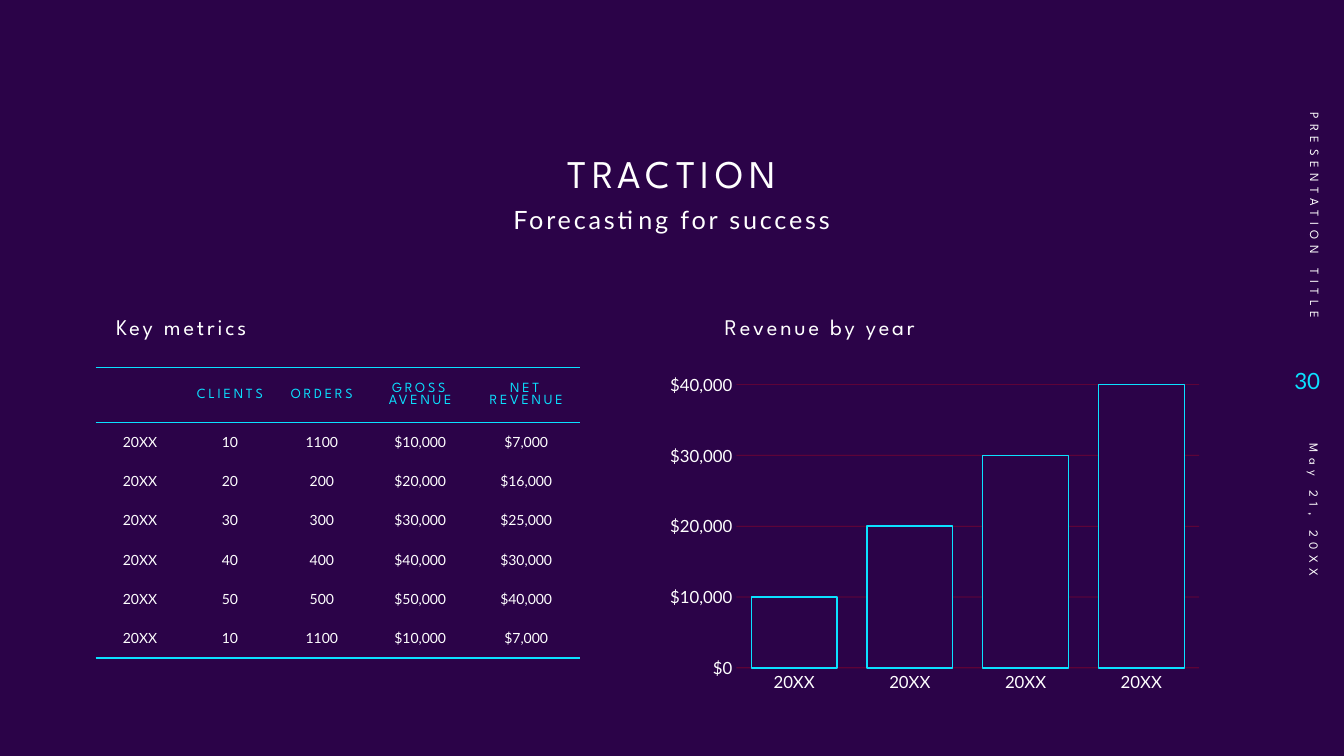
import pptx
import pptx.chart.data
import pptx.dml.color
import pptx.enum.chart
import pptx.enum.text
import pptx.oxml
import pptx.oxml.ns
import pptx.util
from lxml import etree

Cm = pptx.util.Cm
Pt = pptx.util.Pt
ALIGN = pptx.enum.text.PP_ALIGN
ANCHOR = pptx.enum.text.MSO_ANCHOR

COLORS = {"night": "2B0348", "cyan": "0BE1FF", "white": "FFFFFF", "red": "EF050C"}
HEAD_FONT, BODY_FONT = "League Spartan", "Lato"

# placeholder index, text, (left, top, width, height) in cm, font, size, spacing, alignment, anchor
HEADINGS = [
    (0, "TRACTION", (9.32, 3.18, 15.21, 1.9), HEAD_FONT, 28, 4, ALIGN.CENTER, ANCHOR.BOTTOM),
    (2, "Forecasting for success", (9.78, 5.11, 14.3, 2.01), BODY_FONT, 18, 2, ALIGN.CENTER, ANCHOR.TOP),
    (1, "Key metrics", (2.67, 7.85, 9.93, 1.24), HEAD_FONT, 16, 2, ALIGN.LEFT, ANCHOR.TOP),
    (3, "Revenue by year", (18.01, 7.85, 9.93, 1.24), HEAD_FONT, 16, 2, ALIGN.LEFT, ANCHOR.TOP),
]
# text, box in cm, rotation, font, size, spacing, color, alignment
MARGIN_TEXTS = [
    ("PRESENTATION TITLE", (29.29, 3.91, 7.7, 1.02), 90, HEAD_FONT, 9, 4, "white", ALIGN.RIGHT),
    ("30", (32, 8.79, 1.52, 1.6), 0, BODY_FONT, 16, 0, "cyan", ALIGN.RIGHT),
    ("May 21, 20XX", (29.44, 14.1, 7.37, 1.02), 90, HEAD_FONT, 9, 4, "white", ALIGN.LEFT),
]
METRICS = [
    ("", "CLIENTS", "ORDERS", "GROSS AVENUE", "NET REVENUE"),
    ("20XX", "10", "1100", "$10,000", "$7,000"),
    ("20XX", "20", "200", "$20,000", "$16,000"),
    ("20XX", "30", "300", "$30,000", "$25,000"),
    ("20XX", "40", "400", "$40,000", "$30,000"),
    ("20XX", "50", "500", "$50,000", "$40,000"),
    ("20XX", "10", "1100", "$10,000", "$7,000"),
]
COLUMN_WIDTHS = (2.24, 2.29, 2.34, 2.62, 2.72)
HEADER_HEIGHT, ROW_HEIGHT = 1.37, 0.99
YEARS = ["20XX"] * 4
REVENUE = (10000, 20000, 30000, 40000)
PLAIN_TABLE_STYLE = "{2D5ABB26-0587-4C30-8999-92F81FD0307C}"


def rgb(name):
    return pptx.dml.color.RGBColor.from_string(COLORS[name])


def style_font(font, name, size, color):
    font.name, font.size, font.bold = name, Pt(size), False
    font.color.rgb = rgb(color)


def style_paragraph(para, name, size, spacing, color, align):
    para.alignment = align
    for span in para.runs:
        style_font(span.font, name, size, color)
        span._r.get_or_add_rPr().set("spc", str(spacing * 100))


def place(shape, bounds):
    shape.left, shape.top, shape.width, shape.height = map(Cm, bounds)


def add_headings(page):
    for index, text, bounds, font, size, spacing, align, anchor in HEADINGS:
        box = page.placeholders[index]
        place(box, bounds)
        frame = box.text_frame
        frame.text = text
        frame.auto_size = pptx.enum.text.MSO_AUTO_SIZE.NONE
        frame.vertical_anchor = anchor
        para = frame.paragraphs[0]
        properties = para._p.get_or_add_pPr()
        properties.set("marL", "0")
        properties.set("indent", "0")
        etree.SubElement(properties, pptx.oxml.ns.qn("a:buNone"))
        para.line_spacing, para.space_before = 0.9, Pt(0)
        style_paragraph(para, font, size, spacing, "white", align)


def add_margin_texts(page):
    for text, bounds, rotation, font, size, spacing, color, align in MARGIN_TEXTS:
        box = page.shapes.add_textbox(*map(Cm, bounds))
        box.rotation = rotation
        frame = box.text_frame
        frame.text = text
        frame.word_wrap = True
        frame.vertical_anchor = ANCHOR.MIDDLE
        style_paragraph(frame.paragraphs[0], font, size, spacing, color, align)


def add_borders(cell, sides):
    """Draw cyan rules on the given sides, named in the order lnT, lnB."""
    for position, side in enumerate(sides):
        line = pptx.oxml.parse_xml(
            f'<a:{side} {pptx.oxml.ns.nsdecls("a")} w="12700"><a:solidFill>'
            f'<a:srgbClr val="{COLORS["cyan"]}"/></a:solidFill></a:{side}>')
        cell._tc.get_or_add_tcPr().insert(position, line)


def add_metrics_table(page):
    last = len(METRICS) - 1
    height = HEADER_HEIGHT + last * ROW_HEIGHT
    holder = page.shapes.add_table(len(METRICS), len(COLUMN_WIDTHS), Cm(2.41), Cm(9.27),
                                   Cm(sum(COLUMN_WIDTHS)), Cm(height))
    table = holder.table
    table.horz_banding = False
    table._tbl.tblPr.find(pptx.oxml.ns.qn("a:tableStyleId")).text = PLAIN_TABLE_STYLE
    for column, width in zip(table.columns, COLUMN_WIDTHS):
        column.width = Cm(width)
    for r, values in enumerate(METRICS):
        table.rows[r].height = Cm(ROW_HEIGHT if r else HEADER_HEIGHT)
        look = (BODY_FONT, 10, 0, "white") if r else (HEAD_FONT, 10, 2, "cyan")
        sides = {0: ("lnT", "lnB"), last: ("lnB",)}.get(r, ())
        for c, value in enumerate(values):
            cell = table.cell(r, c)
            cell.text = value
            cell.vertical_anchor = ANCHOR.MIDDLE
            cell.margin_left = cell.margin_right = Cm(0.23)
            cell.margin_top = cell.margin_bottom = Cm(0.1)
            cell.fill.solid()
            cell.fill.fore_color.rgb = rgb("night")
            style_paragraph(cell.text_frame.paragraphs[0], *look, ALIGN.CENTER)
            add_borders(cell, sides)


def style_faint_line(line):
    line.width = Pt(0.5)
    line.color.rgb = rgb("red")
    color = line.fill._xPr.find(".//" + pptx.oxml.ns.qn("a:srgbClr"))
    etree.SubElement(color, pptx.oxml.ns.qn("a:alpha")).set("val", "40000")


def add_revenue_chart(page):
    data = pptx.chart.data.CategoryChartData()
    data.categories = YEARS
    data.add_series("Series 1", REVENUE)
    chart = page.shapes.add_chart(pptx.enum.chart.XL_CHART_TYPE.COLUMN_CLUSTERED,
                                  Cm(16.61), Cm(9.27), Cm(13.89), Cm(8.33), data).chart
    chart.has_legend = chart.has_title = False
    chart.font.name, chart.font.size = BODY_FONT, Pt(10)

    for axis in (chart.category_axis, chart.value_axis):
        axis.major_tick_mark = axis.minor_tick_mark = pptx.enum.chart.XL_TICK_MARK.NONE
        style_font(axis.tick_labels.font, BODY_FONT, 12, "white")
    style_faint_line(chart.category_axis.format.line)
    amounts = chart.value_axis
    amounts.format.line.fill.background()
    amounts.minimum_scale, amounts.maximum_scale, amounts.major_unit = 0, 40000, 10000
    amounts.tick_labels.number_format = "[$$-409]#,##0"
    amounts.tick_labels.number_format_is_linked = False
    style_faint_line(amounts.major_gridlines.format.line)

    plot = chart.plots[0]
    plot.gap_width, plot.overlap, plot.vary_by_categories = 35, -100, False
    bars = plot.series[0].format
    bars.fill.solid()
    bars.fill.fore_color.rgb = rgb("night")
    bars.line.color.rgb = rgb("cyan")
    bars.line.width = Pt(1)


def main():
    deck = pptx.Presentation()
    deck.slide_width, deck.slide_height = Cm(33.87), Cm(19.05)
    page = deck.slides.add_slide(deck.slide_layouts.get_by_name("Comparison"))
    page.background.fill.solid()
    page.background.fill.fore_color.rgb = rgb("night")
    add_headings(page)
    unused = page.placeholders[4]._element
    unused.getparent().remove(unused)
    add_metrics_table(page)
    add_margin_texts(page)
    add_revenue_chart(page)
    deck.save("out.pptx")


if __name__ == "__main__":
    main()
